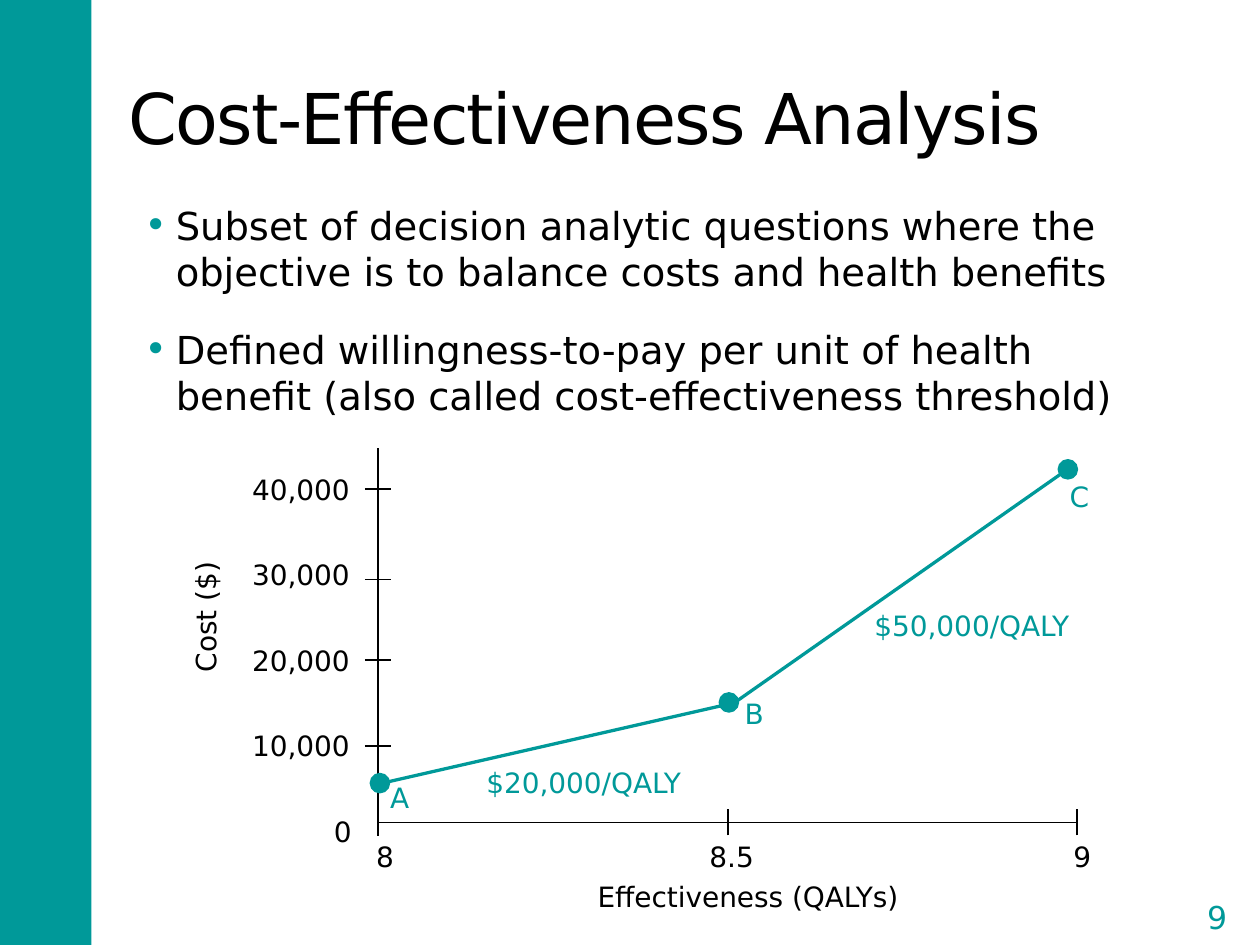
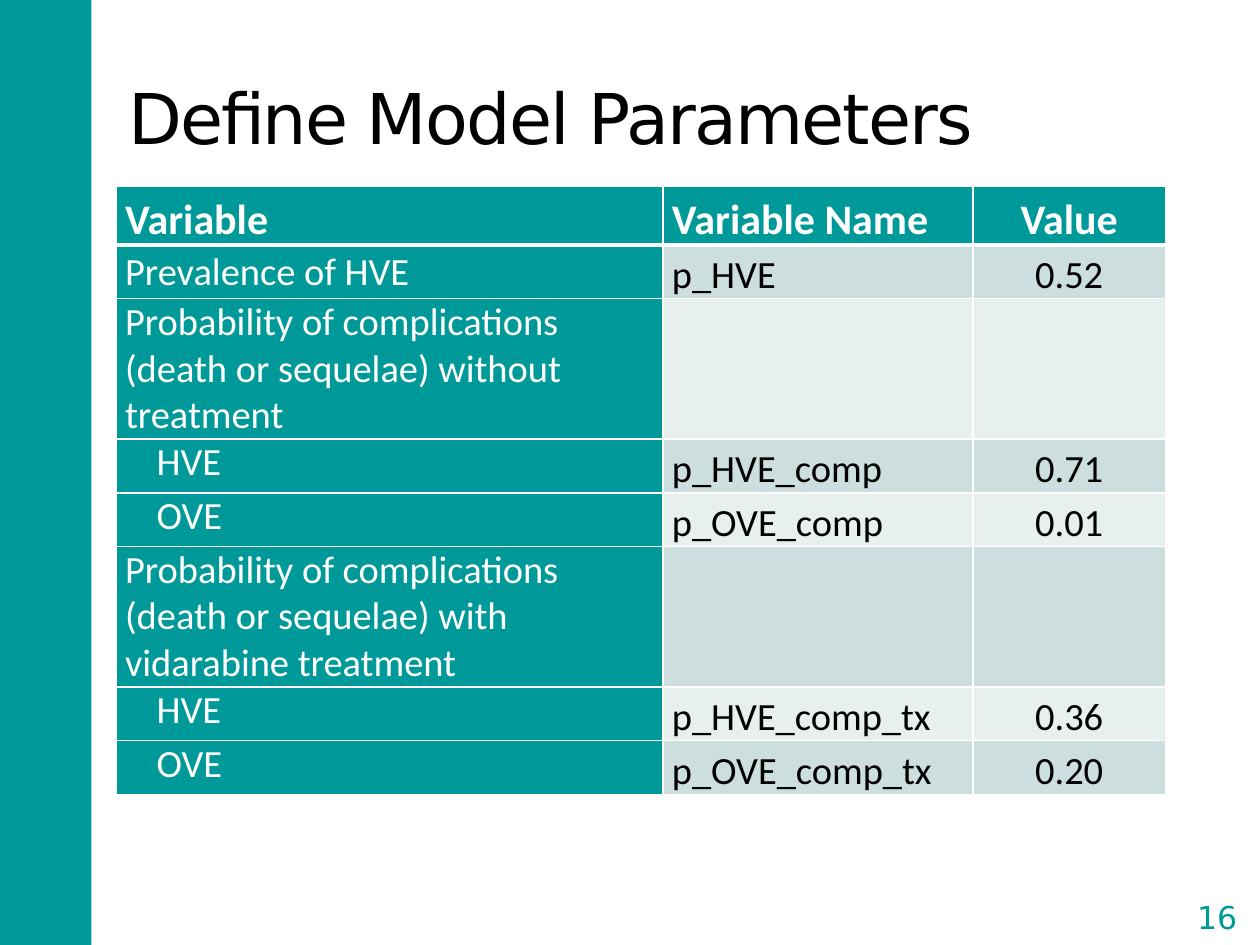
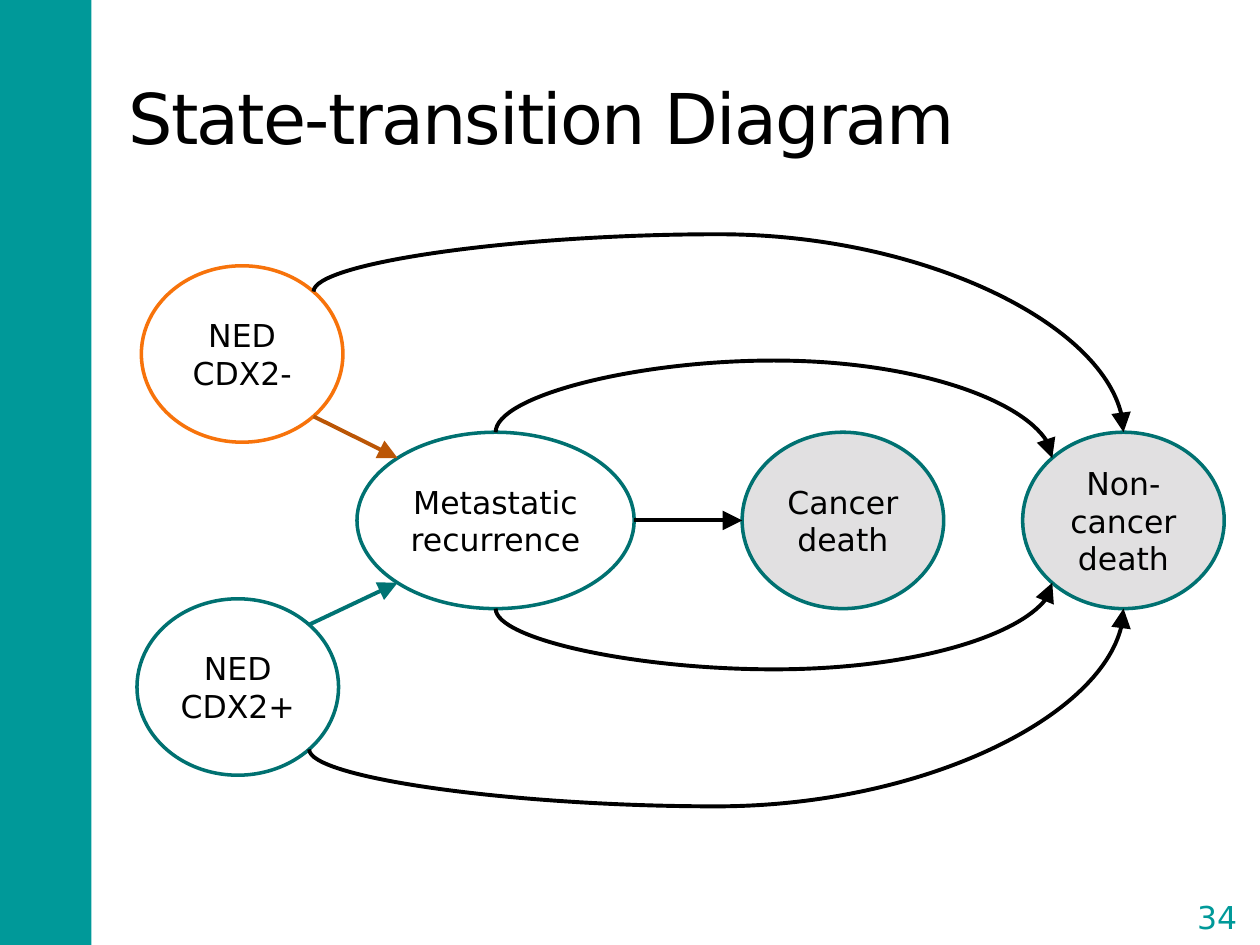
from math import cos, radians, sin

from lxml import etree
from pptx import Presentation
from pptx.dml.color import RGBColor
from pptx.enum import shapes as kinds, text as enums
from pptx.oxml.ns import qn
from pptx.util import Pt

HEX = {"teal": "009999", "black": "000000", "white": "FFFFFF", "band": "CCDEDE",
       "pale": "E7EFEF", "orange": "F7730B", "rust": "BB5606", "deep": "007171",
       "sea": "007373", "grey": "E1E0E1"}
SANS, TABLE = "DejaVu Sans", "Calibri"
LEFT, CENTER, RIGHT = (enums.PP_ALIGN.LEFT, enums.PP_ALIGN.CENTER, enums.PP_ALIGN.RIGHT)
TOP, MIDDLE = enums.MSO_ANCHOR.TOP, enums.MSO_ANCHOR.MIDDLE
STRAIGHT, CURVE = kinds.MSO_CONNECTOR.STRAIGHT, kinds.MSO_CONNECTOR.CURVE
OVAL = kinds.MSO_SHAPE.OVAL
EDGE = 66.4

# Slide 1: points about the subject and the cost plot
POINTS = [
    "Subset of decision analytic questions where the objective is to balance costs and health benefits",
    "Defined willingness-to-pay per unit of health benefit (also called cost-effectiveness threshold)",
]
AXIS_X, AXIS_Y, AXIS_TOP, AXIS_END = 216, 470, 256.3, 615.6
COSTS = [("40,000", 279.4), ("30,000", 331.2), ("20,000", 377.3), ("10,000", 426.2)]
COST_TOP, COST_STEP = 270, 48.75
QALYS = [("8", 215, 216), ("8.5", 405.4, 416.2), ("9", 613.4, 615.6)]
DOTS = [(217.1, 447.5), (416.5, 401.4), (610.2, 268.2)]
SLOPES = [(220.3, 447.1, 412.6, 403.2), (420.5, 401, 608.4, 269.3)]
NOTES = [("A", 222.9, 446, 11), ("B", 425.5, 398.2, 11), ("C", 611.3, 274.3, 11.5),
         ("$20,000/QALY", 277.9, 437.6, 116), ("$50,000/QALY", 499.7, 347.8, 116)]

# Slide 2: label, variable name, value, indent level
HEAD = ("Variable", "Variable Name", "Value")
ROWS = [
    ("Prevalence of HVE", "p_HVE", "0.52", 0),
    ("Probability of complications (death or sequelae) without treatment", "", "", 0),
    ("HVE", "p_HVE_comp", "0.71", 1),
    ("OVE", "p_OVE_comp", "0.01", 1),
    ("Probability of complications (death or sequelae) with vidarabine treatment", "", "", 0),
    ("HVE", "p_HVE_comp_tx", "0.36", 1),
    ("OVE", "p_OVE_comp_tx", "0.20", 1),
]
WIDTHS = (312.5, 177, 110)
HEAD_H, ROW_H, TALL_H = 33.4, 30.7, 80.2

# Slide 3: states as text, centre, width, line, fill
STATE_H = 100.8
STATES = {
    "neg": ("NED CDX2-", 138.4, 202.3, 115.2, "orange", None),
    "pos": ("NED CDX2+", 135.9, 392.6, 115.2, "deep", None),
    "meta": ("Metastatic recurrence", 283.2, 297.4, 158.4, "deep", None),
    "cancer": ("Cancer death", 481.7, 297.4, 115.2, "deep", "grey"),
    "other": ("Non-cancer death", 642, 297.4, 115.2, "deep", "grey"),
}
# Moves as state, site, state, site, colour, height of the bend
# Sites run from 0 at the top, counter-clockwise in eighths
MOVES = [
    ("meta", 6, "cancer", 2, "black", None),
    ("neg", 7, "other", 0, "black", 133.9),
    ("pos", 5, "other", 4, "black", 460.8),
    ("meta", 0, "other", 1, "black", 206),
    ("meta", 4, "other", 3, "black", 382.5),
    ("neg", 5, "meta", 1, "rust", None),
    ("pos", 7, "meta", 3, "sea", None),
]


def rgb(name):
    return RGBColor.from_string(HEX[name])


def add(node, tag, **attrs):
    return etree.SubElement(node, qn(tag), attrs)


def style(para, size, tone="black", face=SANS, align=LEFT, bold=False):
    para.alignment = align
    for run in para.runs:
        font = run.font
        font.size, font.name, font.bold = Pt(size), face, bold
        font.color.rgb = rgb(tone)


def box(slide, words, x, y, w, h, size, tone="black", align=LEFT, anchor=TOP, inset=None, wrap=True):
    shape = slide.shapes.add_textbox(Pt(x), Pt(y), Pt(w), Pt(h))
    fill_frame(shape.text_frame, words, size, tone, align, anchor, inset, wrap)
    return shape


def fill_frame(frame, words, size, tone, align, anchor, inset=None, wrap=True):
    frame.text = words
    frame.word_wrap, frame.vertical_anchor = wrap, anchor
    if inset is not None:
        frame.margin_left = frame.margin_right = Pt(inset)
        frame.margin_top = frame.margin_bottom = Pt(inset)
    for para in frame.paragraphs:
        style(para, size, tone, align=align)


def label(slide, words, x, y, w, tone="black", align=LEFT):
    """Small unwrapped plot text."""
    return box(slide, words, x, y, w, 19.4, 16, tone, align, inset=0, wrap=False)


def form(slide, kind, x, y, w, h, fill=None, line=None, weight=1):
    shape = slide.shapes.add_shape(kind, Pt(x), Pt(y), Pt(w), Pt(h))
    shape.shadow.inherit = False
    if fill:
        shape.fill.solid()
        shape.fill.fore_color.rgb = rgb(fill)
    else:
        shape.fill.background()
    if line:
        shape.line.color.rgb, shape.line.width = rgb(line), Pt(weight)
    else:
        shape.line.fill.background()
    return shape


def rule(slide, x1, y1, x2, y2, tone="black", weight=1, kind=STRAIGHT, arrow=False):
    link = slide.shapes.add_connector(kind, Pt(x1), Pt(y1), Pt(x2), Pt(y2))
    link.line.color.rgb, link.line.width = rgb(tone), Pt(weight)
    if arrow:
        add(link.line._get_or_add_ln(), "a:tailEnd", type="triangle", w="lg", len="lg")
    add(link.element.spPr, "a:effectLst")
    return link


def start(deck, title, number):
    """Add a slide with band, title and page number."""
    slide = deck.slides.add_slide(deck.slide_layouts[6])
    form(slide, kinds.MSO_SHAPE.RECTANGLE, -1.8, 0, 54, 540, "teal")
    head = box(slide, title, EDGE, 21.6, 600, 90, 40, anchor=MIDDLE)
    head.text_frame.paragraphs[0].runs[0].font._element.set("spc", "-100")
    page = form(slide, kinds.MSO_SHAPE.DOUBLE_BRACKET, 674, 508.3, 43.2, 31, line="white", weight=1.5)
    page.adjustments[0] = 0.18
    fill_frame(page.text_frame, str(number), 18, "teal", CENTER, MIDDLE, 0)
    return slide


def plot(slide):
    body = box(slide, "\n".join(POINTS), EDGE, 112, 600, 392, 22)
    for i, para in enumerate(body.text_frame.paragraphs):
        props = para._p.get_or_add_pPr()
        props.set("marL", str(Pt(27)))
        props.set("indent", str(Pt(-18)))
        para.space_before, para.space_after = Pt(6 if i else 0), Pt(12)
        add(add(props, "a:buClr"), "a:srgbClr", val=HEX["teal"])
        add(props, "a:buFont", typeface=SANS)
        add(props, "a:buChar", char="•")

    rule(slide, AXIS_X, AXIS_TOP, AXIS_X, 478)
    rule(slide, AXIS_X, AXIS_Y, AXIS_END, AXIS_Y)
    for i, (words, y) in enumerate(COSTS):
        label(slide, words, 143, COST_TOP + i * COST_STEP, 56.9, align=RIGHT)
        rule(slide, AXIS_X - 7.5, y, AXIS_X + 7.5, y)
    label(slide, "0", 190.8, 465.4, 10.2)
    for i, (words, x, tick) in enumerate(QALYS):
        label(slide, words, x, 479.5, 10.2 if len(words) == 1 else 26)
        if i:
            rule(slide, tick, 477.4, tick, 462.2)
    label(slide, "Cost ($)", 84.2, 341.3, 66.2).rotation = 270
    label(slide, "Effectiveness (QALYs)", 341.5, 502.6, 175.7)
    for ends in SLOPES:
        rule(slide, *ends, "teal", 1.88)
    for x, y in DOTS:
        form(slide, OVAL, x - 5.4, y - 5.4, 10.8, 10.8, "teal", "teal")
    for words, x, y, w in NOTES:
        label(slide, words, x, y, w, "teal")


def put(cell, words, fill, tone, size=22, align=LEFT, bold=False, space=1.15, anchor=TOP, low=1):
    cell.text = words
    cell.margin_left = cell.margin_right = Pt(5)
    cell.margin_top = cell.margin_bottom = 0
    cell.vertical_anchor = anchor
    para = cell.text_frame.paragraphs[0]
    para.line_spacing = space
    style(para, size, tone, TABLE, align, bold)
    props = cell._tc.get_or_add_tcPr()
    for side, weight in (("L", 1), ("R", 1), ("T", 1), ("B", low)):
        edge = add(props, "a:ln" + side, w=str(Pt(weight)))
        add(add(edge, "a:solidFill"), "a:srgbClr", val=HEX["white"])
    cell.fill.solid()
    cell.fill.fore_color.rgb = rgb(fill)


def params(slide):
    highs = [HEAD_H] + [ROW_H if row[1] else TALL_H for row in ROWS]
    grid = slide.shapes.add_table(len(highs), len(WIDTHS), Pt(66.5), Pt(106.6),
                                  Pt(sum(WIDTHS)), Pt(sum(highs))).table
    for col, w in zip(grid.columns, WIDTHS):
        col.width = Pt(w)
    for row, h in zip(grid.rows, highs):
        row.height = Pt(h)
    aligns = (LEFT, LEFT, CENTER)
    for c, words in enumerate(HEAD):
        put(grid.cell(0, c), words, "teal", "white", 24, aligns[c], True, anchor=MIDDLE, low=3)
    for r, (*words, level) in enumerate(ROWS, 1):
        first = grid.cell(r, 0)
        put(first, words[0], "teal", "white", space=1.0, anchor=MIDDLE if r == 1 else TOP)
        first.text_frame.paragraphs[0]._p.get_or_add_pPr().set("marL", str(Pt(18 * level)))
        for c in (1, 2):
            put(grid.cell(r, c), words[c], "band" if r % 2 else "pale", "black", align=aligns[c])


def site(name, k):
    """Point on the edge of a state."""
    _, x, y, w, *_ = STATES[name]
    turn = radians(90 + 45 * k)
    return x + w / 2 * cos(turn), y - STATE_H / 2 * sin(turn)


def bend(link, x1, y1, x2, y2, peak):
    """Turn a curve on its side so that it leaves and arrives vertically, by way of peak."""
    w, h = abs(y2 - y1), x2 - x1
    link.left, link.top = Pt((x1 + x2 - w) / 2), Pt((y1 + y2 - h) / 2)
    link.width, link.height = Pt(w), Pt(h)
    down = y2 > y1
    frame = link.element.spPr.find(qn("a:xfrm"))
    frame.set("rot", str((270 if down else 90) * 60000))
    frame.set("flipH", "1")
    frame.set("flipV", "0" if down else "1")
    ratio = round((peak - y1) / (y2 - y1) * 100000)
    add(link.element.spPr.find(".//" + qn("a:avLst")), "a:gd", name="adj1", fmla=f"val {ratio}")


def states(slide):
    ovals = {}
    for name, (words, x, y, w, line, fill) in STATES.items():
        ovals[name] = form(slide, OVAL, x - w / 2, y - STATE_H / 2, w, STATE_H, fill, line, 2)
        fill_frame(ovals[name].text_frame, words, 18, "black", CENTER, MIDDLE)
    for a, i, b, j, tone, peak in MOVES:
        ends = *site(a, i), *site(b, j)
        link = rule(slide, *ends, tone, 2.25, CURVE if peak else STRAIGHT, True)
        if peak:
            bend(link, *ends, peak)
        glue = link.element.nvCxnSpPr.cNvCxnSpPr
        for end, name, k in ((glue.get_or_add_stCxn(), a, i), (glue.get_or_add_endCxn(), b, j)):
            end.id, end.idx = ovals[name].shape_id, k


def main():
    deck = Presentation()
    deck.slide_width, deck.slide_height = Pt(720), Pt(540)
    plot(start(deck, "Cost-Effectiveness Analysis", 9))
    params(start(deck, "Define Model Parameters", 16))
    states(start(deck, "State-transition Diagram", 34))
    deck.save("out.pptx")


if __name__ == "__main__":
    main()
